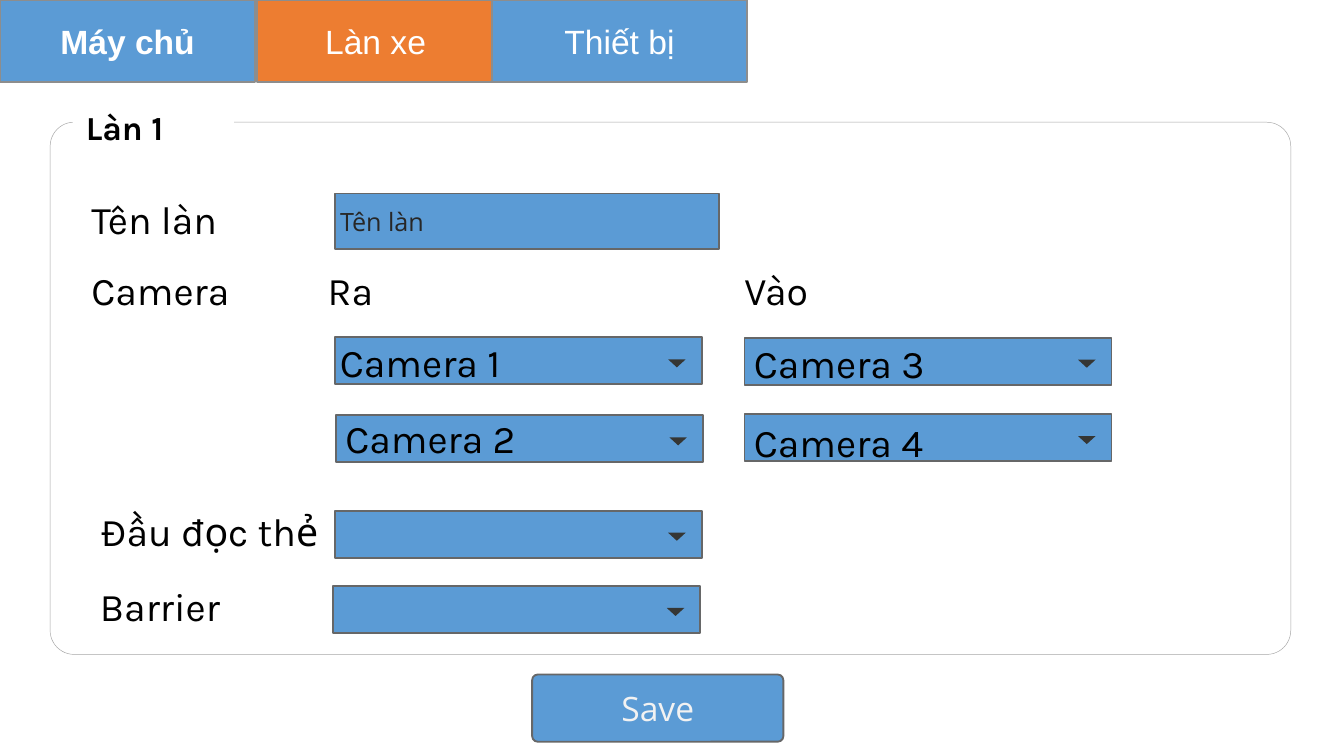
from typing import NamedTuple

from pptx import Presentation
from pptx.dml.color import RGBColor
from pptx.enum.shapes import MSO_SHAPE
from pptx.enum.text import MSO_ANCHOR, MSO_AUTO_SIZE, PP_ALIGN
from pptx.util import Pt

BLUE, ORANGE, WHITE, BLACK = "5B9BD5", "ED7D31", "FFFFFF", "000000"
EDGE, DARK = "666768", "353634"
RECT, ROUND = MSO_SHAPE.RECTANGLE, MSO_SHAPE.ROUNDED_RECTANGLE


class Box(NamedTuple):
    x: float
    y: float
    w: float
    h: float


class Tab(NamedTuple):
    text: str
    x: float
    w: float
    fill: str
    bold: bool = False


class Label(NamedTuple):
    text: str
    x: float
    y: float


class Drop(NamedTuple):
    x: float
    y: float
    label: Label


def color(code: str) -> RGBColor:
    return RGBColor.from_string(code)


def place(box: Box) -> list:
    return [Pt(v) for v in box]


def draw(shapes, kind, box: Box, fill: str, line=None, width=1, adj=None):
    shape = shapes.add_shape(kind, *place(box))
    shape.shadow.inherit = False
    shape.fill.solid()
    shape.fill.fore_color.rgb = color(fill)
    if line:
        shape.line.color.rgb = color(line)
        shape.line.width = Pt(width)
    else:
        shape.line.fill.background()
    if adj is not None:
        shape.adjustments[0] = adj
    return shape


def write(shape, text: str, size=18, font="Arial", ink=WHITE, bold=False,
          align=PP_ALIGN.LEFT, anchor=MSO_ANCHOR.MIDDLE, pad=(0, 0, 0, 0),
          before=0, grow=False) -> None:
    frame = shape.text_frame
    frame.word_wrap = True
    frame.vertical_anchor = anchor
    frame.auto_size = MSO_AUTO_SIZE.SHAPE_TO_FIT_TEXT if grow else MSO_AUTO_SIZE.NONE
    (frame.margin_left, frame.margin_top,
     frame.margin_right, frame.margin_bottom) = [Pt(v) for v in pad]
    para = frame.paragraphs[0]
    para.alignment = align
    para.space_before = Pt(before)
    run = para.add_run()
    run.text = text
    run.font.size = Pt(size)
    run.font.name = font
    run.font.bold = bold
    run.font.color.rgb = color(ink)


def add_label(shapes, label: Label) -> None:
    box = shapes.add_textbox(*place(Box(label.x, label.y, 149.8, 28.1)))
    write(box, label.text, size=21, font="Karla", ink=BLACK,
          pad=(5, 0.7, 5, 1.4), grow=True)


def add_drop(shapes, drop: Drop) -> None:
    group = shapes.add_group_shape().shapes
    draw(group, RECT, Box(drop.x, drop.y, 196.6, 25.2), BLUE, EDGE)
    arrow = draw(group, MSO_SHAPE.ISOSCELES_TRIANGLE,
                 Box(drop.x + 178.6, drop.y + 11.8, 9.4, 4.3), DARK)
    arrow.rotation = 180
    add_label(shapes, drop.label)


TABS = [
    Tab("Làn xe", 137.5, 127.4, ORANGE),
    Tab("Máy chủ", 0, 136.8, BLUE, True),
    Tab("Thiết bị", 263.5, 136.8, BLUE),
]
DROPS = [
    Drop(179.3, 180.7, Label("Camera 1", 177.1, 180)),
    Drop(179.3, 273.6, Label("Đầu đọc thẻ", 49, 270.7)),
    Drop(180, 222.5, Label("Camera 2", 180, 221)),
    Drop(398.9, 180.9, Label("Camera 3", 398.9, 180.9)),
    Drop(398.9, 221.8, Label("Camera 4", 398.9, 222.8)),
    Drop(178.6, 313.9, Label("Barrier", 48.5, 311)),
]
LABELS = [
    Label("Tên làn", 43.9, 103.7),
    Label("Camera", 43.9, 141.8),
    Label("Ra", 170.6, 141.8),
    Label("Vào", 393.8, 141.8),
]


def main() -> None:
    deck = Presentation()
    deck.slide_width, deck.slide_height = Pt(720), Pt(405)
    shapes = deck.slides.add_slide(deck.slide_layouts[6]).shapes

    # Lane panel with its caption
    panel = shapes.add_group_shape().shapes
    draw(panel, ROUND, Box(26.9, 65.5, 664.6, 285.1), WHITE, "A6A6A6", 0.25, 0.045)
    title = draw(panel, RECT, Box(38.9, 54, 86.4, 28.8), WHITE)
    write(title, "Làn 1", font="Karla", ink=BLACK, bold=True,
          anchor=MSO_ANCHOR.TOP, pad=(7.2, 3.6, 7.2, 3.6), grow=True)

    # Tab bar
    bar = shapes.add_group_shape().shapes
    for tab in TABS:
        shape = draw(bar, ROUND, Box(tab.x, 0, tab.w, 43.9), tab.fill, "8D8D8D", adj=0)
        write(shape, tab.text, bold=tab.bold, align=PP_ALIGN.CENTER)

    # Form fields
    for drop in DROPS:
        add_drop(shapes, drop)
    field = draw(shapes, ROUND, Box(179.3, 103.7, 205.9, 29.5), BLUE, EDGE, adj=0)
    write(field, "Tên làn", size=13.5, font="Open Sans", ink="272727",
          pad=(2.9, 2.9, 2.9, 2.9), before=10.5)
    for label in LABELS:
        add_label(shapes, label)

    # Save button
    save = draw(shapes, ROUND, Box(285.1, 361.4, 134.6, 36), BLUE, EDGE, adj=0.083)
    write(save, "Save", font="Open Sans", ink="F2F2F2",
          align=PP_ALIGN.CENTER, before=10.5)

    deck.save("out.pptx")


if __name__ == "__main__":
    main()
